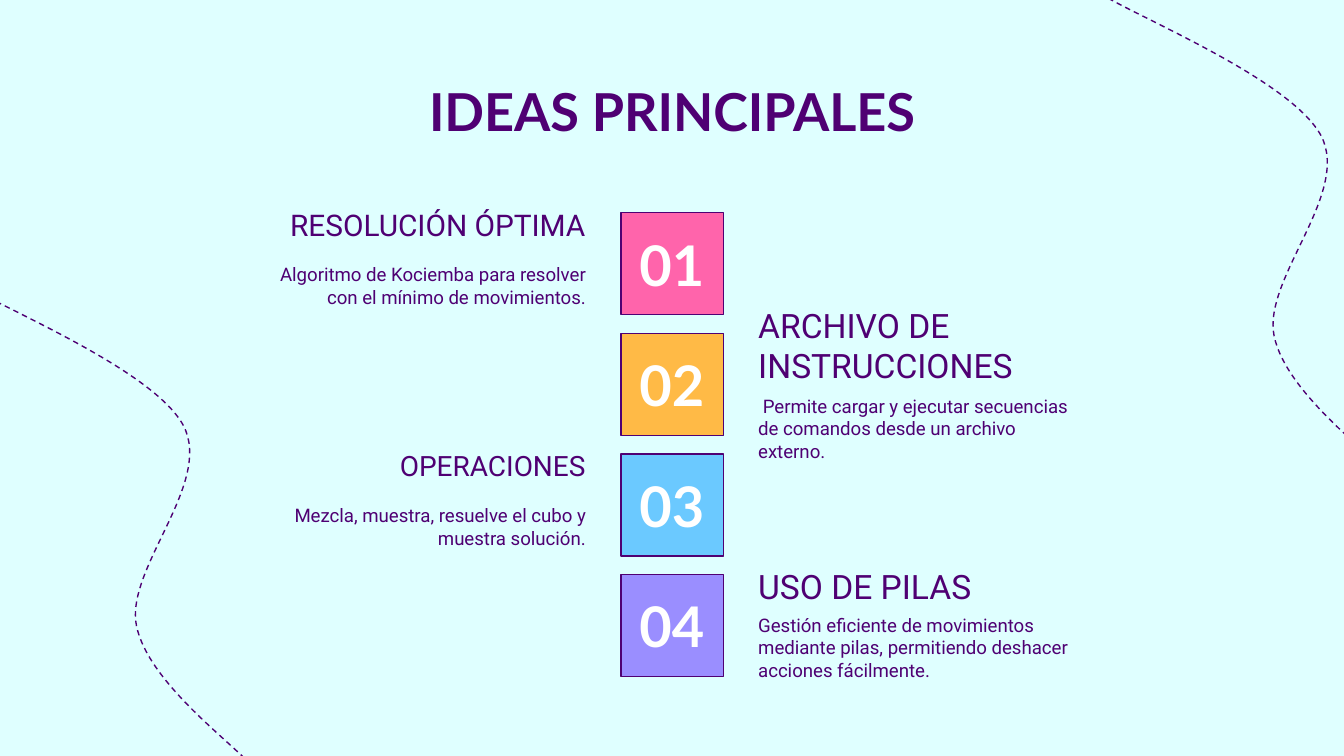
from pptx import Presentation
from pptx.dml.color import RGBColor
from pptx.enum.dml import MSO_LINE
from pptx.enum.shapes import MSO_SHAPE
from pptx.enum.text import MSO_ANCHOR, MSO_AUTO_SIZE, PP_ALIGN
from pptx.oxml.xmlchemy import OxmlElement
from pptx.util import Cm, Pt

PURPLE = "4F0073"
SQUARE_SIDE = 1.93
SQUARE_LEFT = 11.74
FIRST_TOP = 4.02
ROW_STEP = 2.28
TEXT_WIDTH = 6.58
LEFT_COLUMN = 4.74
RIGHT_COLUMN = 14.08
HEADING_HEIGHT = 1.07

IDEAS = [
    ("FF64AB", "RESOLUCIÓN ÓPTIMA", 16,
     "Algoritmo de Kociemba para resolver con el mínimo de movimientos.", 0.89),
    ("FFBA46", "ARCHIVO DE INSTRUCCIONES", 18,
     " Permite cargar y ejecutar secuencias de comandos desde un archivo externo.", 1.31),
    ("6BC9FF", "OPERACIONES", 15,
     "Mezcla, muestra, resuelve el cubo y muestra solución.", 0.88),
    ("9A8EFF", "USO DE PILAS", 18,
     "Gestión eficiente de movimientos mediante pilas, permitiendo deshacer acciones fácilmente.",
     0.89),
]

WAVE_POINTS = [
    (5.59, 9.19),
    (5.23, 8.76), (3.64, 7.62), (3.42, 6.55),
    (3.2, 5.47), (4.87, 3.86), (4.31, 2.77),
    (3.73, 1.68), (0.71, 0.48), (0, 0),
]
WAVE_PLACES = [(-0.84, 5.28), (20.66, -0.2)]


def colour(value):
    """Return the colour for a hex string."""
    return RGBColor.from_string(value)


def write(shape, text, size, font, value, align, anchor=MSO_ANCHOR.MIDDLE, bold=False):
    """Put one formatted paragraph into a shape."""
    frame = shape.text_frame
    frame.word_wrap = True
    frame.auto_size = MSO_AUTO_SIZE.NONE
    frame.vertical_anchor = anchor
    frame.margin_left = frame.margin_right = Cm(0.25)
    frame.margin_top = frame.margin_bottom = Cm(0.25)
    paragraph = frame.paragraphs[0]
    paragraph.text = text
    paragraph.alignment = align
    paragraph.font.size = Pt(size)
    paragraph.font.name = font
    paragraph.font.bold = bold
    paragraph.font.color.rgb = colour(value)


def set_outline(shape):
    """Give a shape the thin purple outline without shadow."""
    shape.shadow.inherit = False
    shape.line.color.rgb = colour(PURPLE)
    shape.line.width = Pt(0.75)


def round_segments(shape):
    """Turn each three line segments of a freeform into one cubic curve."""
    segments = shape._element.xpath(".//a:lnTo")
    for first in range(0, len(segments), 3):
        curve = OxmlElement("a:cubicBezTo")
        segments[first].addprevious(curve)
        for segment in segments[first:first + 3]:
            curve.append(segment[0])
            segment.getparent().remove(segment)


def add_wave(page, left, top):
    """Draw a dashed wavy line at a place."""
    points = [(Cm(left + x), Cm(top + y)) for x, y in WAVE_POINTS]
    builder = page.shapes.build_freeform(*points[0])
    builder.add_line_segments(points[1:], close=False)
    wave = builder.convert_to_shape()
    round_segments(wave)
    wave.fill.background()
    set_outline(wave)
    wave.line.dash_style = MSO_LINE.DASH


def add_title(page, text):
    """Place and format the title placeholder."""
    title = page.shapes.title
    title.left, title.top, title.width, title.height = Cm(2), Cm(1.25), Cm(21.4), Cm(1.6)
    write(title, text, 28, "Lato", PURPLE, PP_ALIGN.CENTER, MSO_ANCHOR.TOP, True)


def add_square(page, top, fill):
    """Draw a coloured square."""
    square = page.shapes.add_shape(
        MSO_SHAPE.RECTANGLE, Cm(SQUARE_LEFT), Cm(top), Cm(SQUARE_SIDE), Cm(SQUARE_SIDE))
    square.fill.solid()
    square.fill.fore_color.rgb = colour(fill)
    set_outline(square)


def add_number(page, top, number):
    """Add a white two-digit number over a square."""
    box = page.shapes.add_textbox(Cm(11.68), Cm(top + 0.43), Cm(2.04), Cm(HEADING_HEIGHT))
    write(box, f"{number:02d}", 30, "Lato", "FFFFFF", PP_ALIGN.CENTER, bold=True)


def add_text(page, left, top, height, text, size, align):
    """Add a text box of the column width."""
    box = page.shapes.add_textbox(Cm(left), Cm(top), Cm(TEXT_WIDTH), Cm(height))
    write(box, text, size, "Roboto", PURPLE, align)


def add_idea(page, index, idea):
    """Add a square with its heading and description, alternating sides."""
    fill, heading, size, description, distance = idea
    top = FIRST_TOP + index * ROW_STEP
    heading_top = top - 0.31
    on_left = index % 2 == 0
    left = LEFT_COLUMN if on_left else RIGHT_COLUMN
    align = PP_ALIGN.RIGHT if on_left else PP_ALIGN.LEFT
    add_square(page, top, fill)
    add_number(page, top, index + 1)
    add_text(page, left, heading_top, HEADING_HEIGHT, heading, size, align)
    add_text(page, left, heading_top + distance, 1.6, description, 10, align)


def main():
    """Build and save the slide."""
    deck = Presentation()
    deck.slide_width, deck.slide_height = Cm(25.4), Cm(14.29)
    page = deck.slides.add_slide(deck.slide_layouts[5])
    page.background.fill.solid()
    page.background.fill.fore_color.rgb = colour("DFFFFF")
    for left, top in WAVE_PLACES:
        add_wave(page, left, top)
    add_title(page, "IDEAS PRINCIPALES")
    for index, idea in enumerate(IDEAS):
        add_idea(page, index, idea)
    deck.save("out.pptx")


if __name__ == "__main__":
    main()
